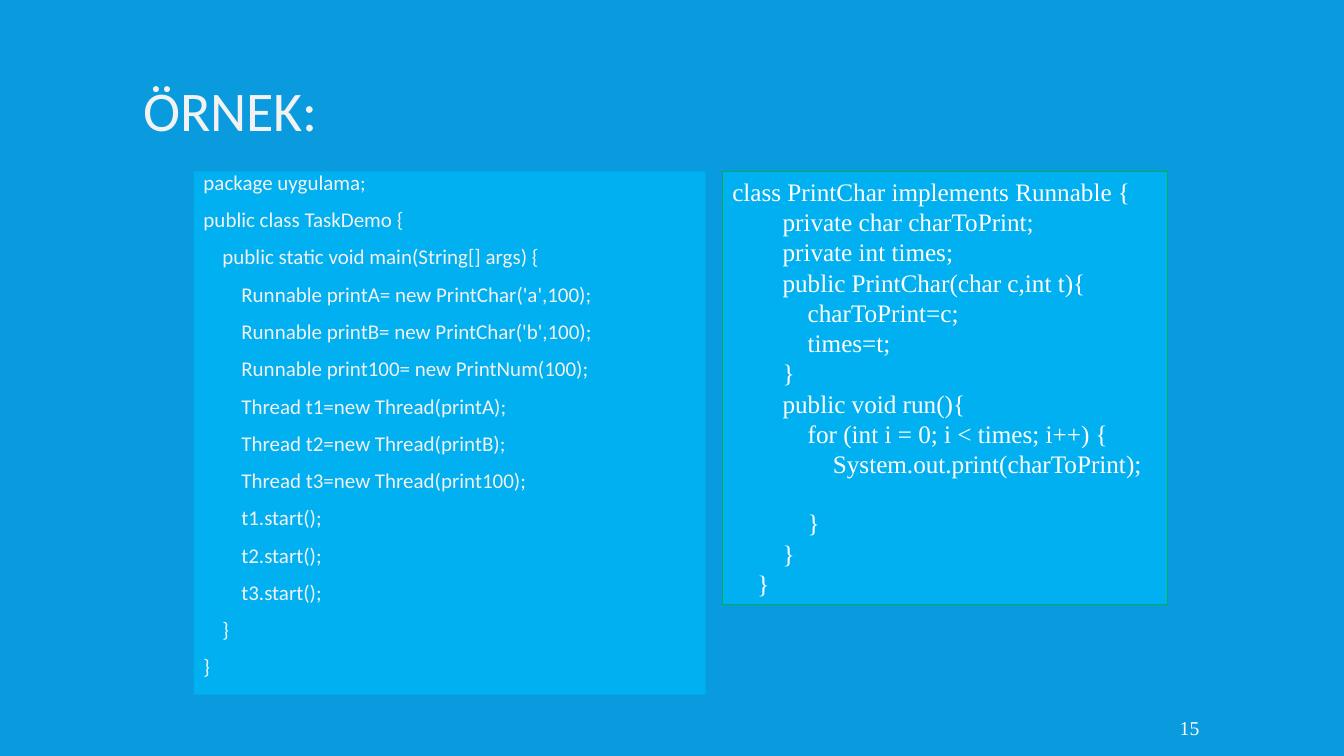
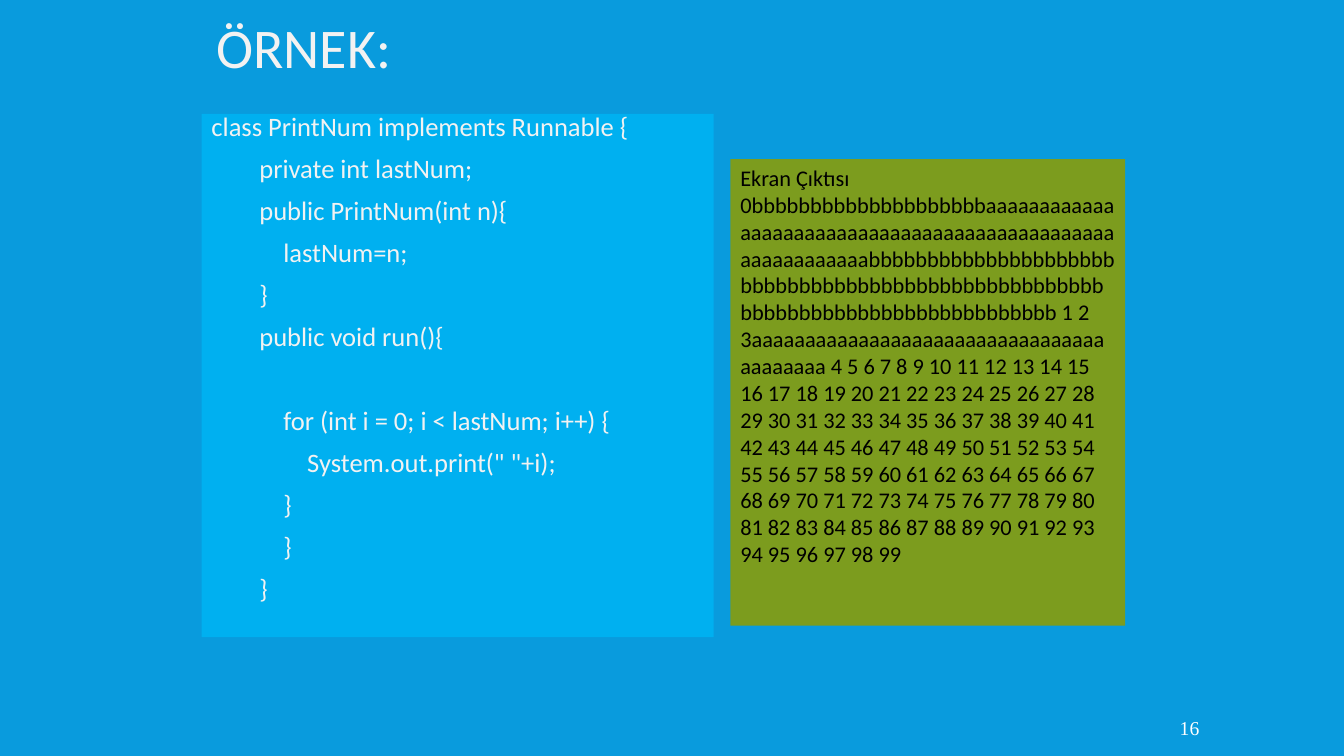
from pptx import Presentation, util as u
from pptx.dml.color import RGBColor
from pptx.enum import shapes, text

COLORS = {
    "page": "099BDD", "panel": "00B0F0", "edge": "00B050", "output": "7C9C1E",
    "soft": "F2F2F2", "white": "FFFFFF", "black": "000000",
}
COLUMNS, ROWS = 32, 18
CODE_WIDTH, CODE_HEIGHT, GAP = 12.19, 12.46, 0.4
SPACED = {"line_spacing": 0.7, "space_before": u.Pt(12), "space_after": u.Pt(2)}

TASK_DEMO = """package uygulama;
public class TaskDemo {
    public static void main(String[] args) {
        Runnable printA= new PrintChar('a',100);
        Runnable printB= new PrintChar('b',100);
        Runnable print100= new PrintNum(100);
        Thread t1=new Thread(printA);
        Thread t2=new Thread(printB);
        Thread t3=new Thread(print100);
        t1.start();
        t2.start();
        t3.start();
    }
}"""

PRINT_CHAR = """class PrintChar implements Runnable {
        private char charToPrint;
        private int times;
        public PrintChar(char c,int t){
            charToPrint=c;
            times=t;
        }
        public void run(){
            for (int i = 0; i < times; i++) {
                System.out.print(charToPrint);

            }
        }
    }"""

PRINT_NUM = """class PrintNum implements Runnable {
        private int lastNum;
        public PrintNum(int n){
            lastNum=n;
        }
        public void run(){

            for (int i = 0; i < lastNum; i++) {
                System.out.print(" "+i);
            }
            }
        }"""

SCREEN_OUTPUT = (
    "Ekran Çıktısı\n"
    "0bbbbbbbbbbbbbbbbbbbbaaaaaaaaaaaaaaaaaaaaaaaaaaaaaaaaaaaaaaaaaaaaaaaaaaaaaaaaaaabbbbbbbbbbbbbbbbbbbbbbbbbbbbbbbbbbbbbbbbbbbbbbbbbbbbbbbbbbbbbbbbbbbbbbbbbbbbbbb"
    " 1 2 3aaaaaaaaaaaaaaaaaaaaaaaaaaaaaaaaaaaaaaaaa "
    + " ".join(str(number) for number in range(4, 100))
)


class Deck:
    """Slides on a 32 by 18 grid with one shared style."""

    def __init__(self):
        self.deck = Presentation()
        self.deck.slide_width, self.deck.slide_height = u.Inches(13.34), u.Inches(7.5)
        self.page = None

    def place(self, left, top, width, height):
        column, row = self.deck.slide_width / COLUMNS, self.deck.slide_height / ROWS
        return [round(n * size) for n, size in zip((left, top, width, height), (column, row) * 2)]

    def add_lines(self, box, content, size, font, color, anchor="TOP", blank=0, style=None):
        frame = box.text_frame
        layout = {
            "word_wrap": True,
            "vertical_anchor": getattr(text.MSO_ANCHOR, anchor),
        }
        for name, value in layout.items():
            setattr(frame, name, value)
        style, skipped = style or {}, 0
        for index, line in enumerate(content.split("\n")):
            if not line:
                skipped += blank
                continue
            para = frame.add_paragraph() if index else frame.paragraphs[0]
            values = {"alignment": text.PP_ALIGN.LEFT, **style}
            values["space_before"] = values.get("space_before", 0) + u.Pt(skipped) if index else 0
            for name, value in values.items():
                setattr(para, name, value)
            span = para.add_run()
            span.text, skipped = line, 0
            for name, value in {"size": u.Pt(size), "name": font}.items():
                setattr(span.font, name, value)
            span.font.color.rgb = RGBColor.from_string(COLORS[color])

    def label(self, area, content, size, font, color, **options):
        box = self.page.shapes.add_textbox(*self.place(*area))
        self.add_lines(box, content, size, font, color, anchor="MIDDLE", **options)
        return box

    def panel(self, area, content, size, font, color, fill="panel", edge=None, **options):
        box = self.page.shapes.add_shape(shapes.MSO_SHAPE.RECTANGLE, *self.place(*area))
        box.shadow.inherit = False
        box.fill.solid()
        box.fill.fore_color.rgb = RGBColor.from_string(COLORS[fill])
        if edge:
            box.line.color.rgb = RGBColor.from_string(COLORS[edge])
            box.line.width = u.Pt(0.75)
        else:
            box.line.fill.background()
        self.add_lines(box, content, size, font, color, **options)

    def slide(self, number, title_area):
        self.page = self.deck.slides.add_slide(self.deck.slide_layouts[6])
        fill = self.page.background.fill
        fill.solid()
        fill.fore_color.rgb = RGBColor.from_string(COLORS["page"])
        self.label(title_area, "ÖRNEK:", 40, "Calibri", "soft", style={"line_spacing": 0.85})
        footer = self.label((27.97, 16.85, 2.47, 0.96), str(number), 14, "Times New Roman", "white")
        footer.text_frame.margin_left = u.Inches(0.05)

    def code(self, left, top, content, size):
        area = (left, top, CODE_WIDTH, CODE_HEIGHT)
        self.panel(area, content, size, "Calibri", "soft", blank=30, style=SPACED)
        return left + CODE_WIDTH + GAP


def main():
    show = Deck()

    show.slide(15, (3.17, 0.74, 25.67, 3.96))
    side = show.code(4.61, 4.08, TASK_DEMO, 15)
    show.panel((side, 4.08, 10.6, 10.32), PRINT_CHAR, 18, "Times New Roman", "white",
               edge="edge", blank=20.7)

    show.slide(16, (4.92, 0.26, 20.39, 1.94))
    side = show.code(4.8, 2.71, PRINT_NUM, 19)
    show.panel((side, 3.79, 9.4, 11.11), SCREEN_OUTPUT, 16, "Calibri", "black", fill="output")

    show.deck.save("out.pptx")


if __name__ == "__main__":
    main()
